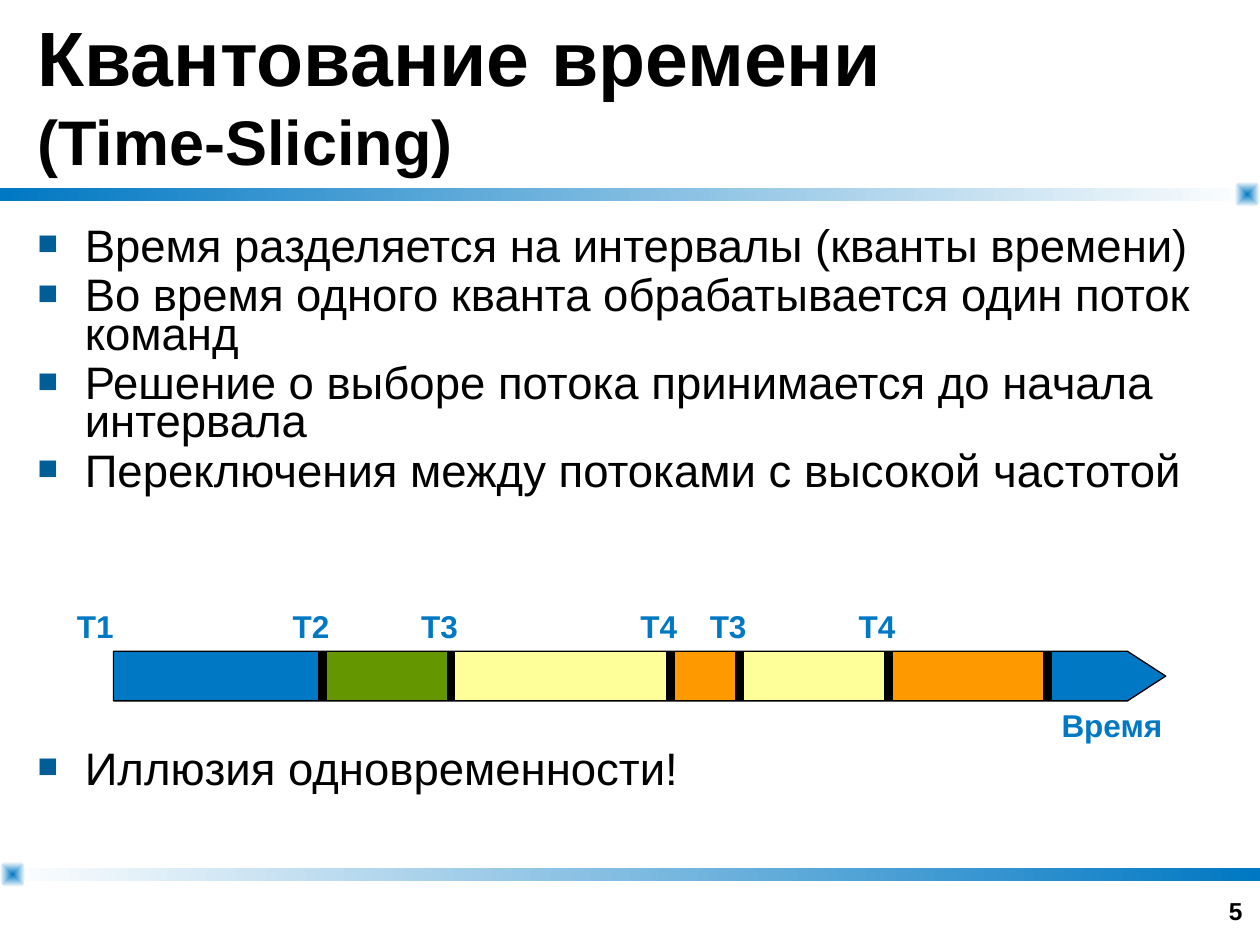
from lxml import etree
from pptx import Presentation
from pptx.dml.color import RGBColor
from pptx.enum.shapes import MSO_CONNECTOR, MSO_SHAPE
from pptx.enum.text import MSO_ANCHOR as Anchor, MSO_AUTO_SIZE as AutoSize, PP_ALIGN as Align
from pptx.oxml.ns import qn
from pptx.util import Cm, Pt

COLORS = {
    "blue": "0078C3",
    "bullet": "005D96",
    "green": "649600",
    "yellow": "FFFF99",
    "orange": "FF9900",
    "black": "000000",
    "white": "FFFFFF",
}
FONT = "Arial"
MARGIN, CONTENT_WIDTH = 0.51, 24.38

# Timeline, in centimetres: (thread label, fill, left edge, label left)
BAR_TOP, BAR_HEIGHT = 13.13, 1.0
BAR_END, ARROW_SHOULDER, ARROW_TIP = 21.11, 22.73, 23.5
LABEL_SHIFT = 0.85
SLICES = [
    ("T1", "blue", 2.29, 1.3),
    ("T2", "green", 6.5, 6.5 - LABEL_SHIFT),
    ("T3", "yellow", 9.09, 9.09 - LABEL_SHIFT),
    ("T4", "orange", 13.51, 13.51 - LABEL_SHIFT),
    ("T3", "yellow", 14.91, 14.91 - LABEL_SHIFT),
    ("T4", "orange", 17.91, 17.91 - LABEL_SHIFT),
]

# (text, space before in points)
BULLETS = [
    ("Время разделяется на интервалы (кванты времени)", 6.5),
    ("Во время одного кванта обрабатывается один поток команд", 6.5),
    ("Решение о выборе потока принимается до начала интервала", 6.5),
    ("Переключения между потоками с высокой частотой", 6.5),
    ("Иллюзия одновременности!", 148.5),
]


def rgb(name):
    return RGBColor.from_string(COLORS[name])


def add_run(paragraph, text, size, color="black", bold=False):
    run = paragraph.add_run()
    run.text = text
    run.font.name = FONT
    run.font.size = Pt(size)
    run.font.bold = bold
    run.font.color.rgb = rgb(color)


def add_text_frame(slide, left, top, width, height, anchor=Anchor.TOP, wrap=True):
    frame = slide.shapes.add_textbox(Cm(left), Cm(top), Cm(width), Cm(height)).text_frame
    frame.word_wrap = wrap
    frame.vertical_anchor = anchor
    return frame


def add_label(slide, text, left, top, width):
    frame = add_text_frame(slide, left, top, width, 1.02, wrap=False)
    frame.auto_size = AutoSize.SHAPE_TO_FIT_TEXT
    add_run(frame.paragraphs[0], text, 18, "blue", bold=True)


def style_outlined(shape, color):
    shape.shadow.inherit = False
    shape.fill.solid()
    shape.fill.fore_color.rgb = rgb(color)
    shape.line.color.rgb = rgb("black")
    shape.line.width = Pt(0.75)


def add_gradient_shape(slide, kind, box, start, end):
    shape = slide.shapes.add_shape(kind, *map(Cm, box))
    shape.shadow.inherit = False
    shape.line.fill.background()
    shape.fill.gradient()
    shape.fill.gradient_angle = 0
    for stop, color, position in zip(shape.fill.gradient_stops, (start, end), (0, 1)):
        stop.color.rgb = rgb(color)
        stop.position = position
    return shape


def add_corner_square(slide, left, top):
    box = (left, top, 0.51, 0.51)
    shape = add_gradient_shape(slide, MSO_SHAPE.ROUNDED_RECTANGLE, box, "blue", "white")
    shape.adjustments[0] = 0.318
    # Turn the linear gradient into one that spreads from the centre
    gradient = shape._element.spPr.find(qn("a:gradFill"))
    gradient.remove(gradient.find(qn("a:lin")))
    spread = etree.SubElement(gradient, qn("a:path"), path="rect")
    etree.SubElement(spread, qn("a:fillToRect"), l="50000", t="50000", r="50000", b="50000")


def add_bullet(paragraph, text, space_before):
    paragraph.line_spacing = 0.7
    paragraph.space_before = Pt(space_before)
    properties = paragraph._p.get_or_add_pPr()
    properties.set("marL", str(Cm(0.95)))
    properties.set("indent", str(-Cm(0.95)))
    bullet_color = etree.SubElement(properties, qn("a:buClr"))
    etree.SubElement(bullet_color, qn("a:srgbClr"), val=COLORS["bullet"])
    etree.SubElement(properties, qn("a:buSzPct"), val="75000")
    etree.SubElement(properties, qn("a:buFont"), typeface=FONT)
    etree.SubElement(properties, qn("a:buChar"), char="■")
    add_run(paragraph, text, 26)


def add_divider(group, x):
    line = group.shapes.add_connector(
        MSO_CONNECTOR.STRAIGHT, Cm(x), Cm(BAR_TOP), Cm(x), Cm(BAR_TOP + BAR_HEIGHT))
    line.line.color.rgb = rgb("black")
    line.line.width = Pt(5)
    etree.SubElement(line._element.spPr, qn("a:effectLst"))


def add_time_arrow(slide):
    left, bottom = SLICES[0][2], BAR_TOP + BAR_HEIGHT
    outline = [
        (ARROW_SHOULDER, BAR_TOP),
        (ARROW_TIP, BAR_TOP + BAR_HEIGHT / 2),
        (ARROW_SHOULDER, bottom),
        (left, bottom),
    ]
    builder = slide.shapes.build_freeform(Cm(left), Cm(BAR_TOP))
    builder.add_line_segments([(Cm(x), Cm(y)) for x, y in outline], close=True)
    style_outlined(builder.convert_to_shape(), "blue")


def add_timeline(slide):
    add_time_arrow(slide)
    add_label(slide, "Время", 21.15, 14.1, 2.54)

    # Slices reach from one switch to the next
    edges = [left for _, _, left, _ in SLICES] + [BAR_END]
    slice_group = slide.shapes.add_group_shape()
    for (_, color, left, _), right in zip(SLICES, edges[1:]):
        bar = slice_group.shapes.add_shape(
            MSO_SHAPE.RECTANGLE, Cm(left), Cm(BAR_TOP), Cm(right - left), Cm(BAR_HEIGHT))
        style_outlined(bar, color)

    divider_group = slide.shapes.add_group_shape()
    for x in edges[1:]:
        add_divider(divider_group, x)

    for text, _, _, label_left in SLICES:
        add_label(slide, text, label_left, 12.12, 1.28)


def main():
    presentation = Presentation()
    presentation.slide_width, presentation.slide_height = Cm(25.4), Cm(19.05)
    slide = presentation.slides.add_slide(presentation.slide_layouts[6])

    # Decorative bands and corner squares
    band = MSO_SHAPE.RECTANGLE
    add_gradient_shape(slide, band, (0, 3.79, 25.4, 0.26), "blue", "white")
    add_gradient_shape(slide, band, (0, 17.5, 25.4, 0.26), "white", "blue")
    add_corner_square(slide, 24.89, 3.66)
    add_corner_square(slide, 0, 17.37)

    # Slide number
    number = add_text_frame(slide, 19.38, 17.52, 5.92, 1.27, Anchor.BOTTOM).paragraphs[0]
    number.alignment = Align.RIGHT
    add_run(number, "5", 14, bold=True)

    # Title
    title = add_text_frame(slide, MARGIN, 0, CONTENT_WIDTH, 3.79, Anchor.MIDDLE).paragraphs[0]
    add_run(title, "Квантование времени", 44, bold=True)
    title.add_line_break()
    add_run(title, "(Time-Slicing)", 36, bold=True)

    # Bullet list, with a gap left for the timeline
    body = add_text_frame(slide, MARGIN, 4.55, CONTENT_WIDTH, 12.45)
    for index, (text, space_before) in enumerate(BULLETS):
        paragraph = body.add_paragraph() if index else body.paragraphs[0]
        add_bullet(paragraph, text, space_before)

    add_timeline(slide)
    presentation.save("out.pptx")


if __name__ == "__main__":
    main()
